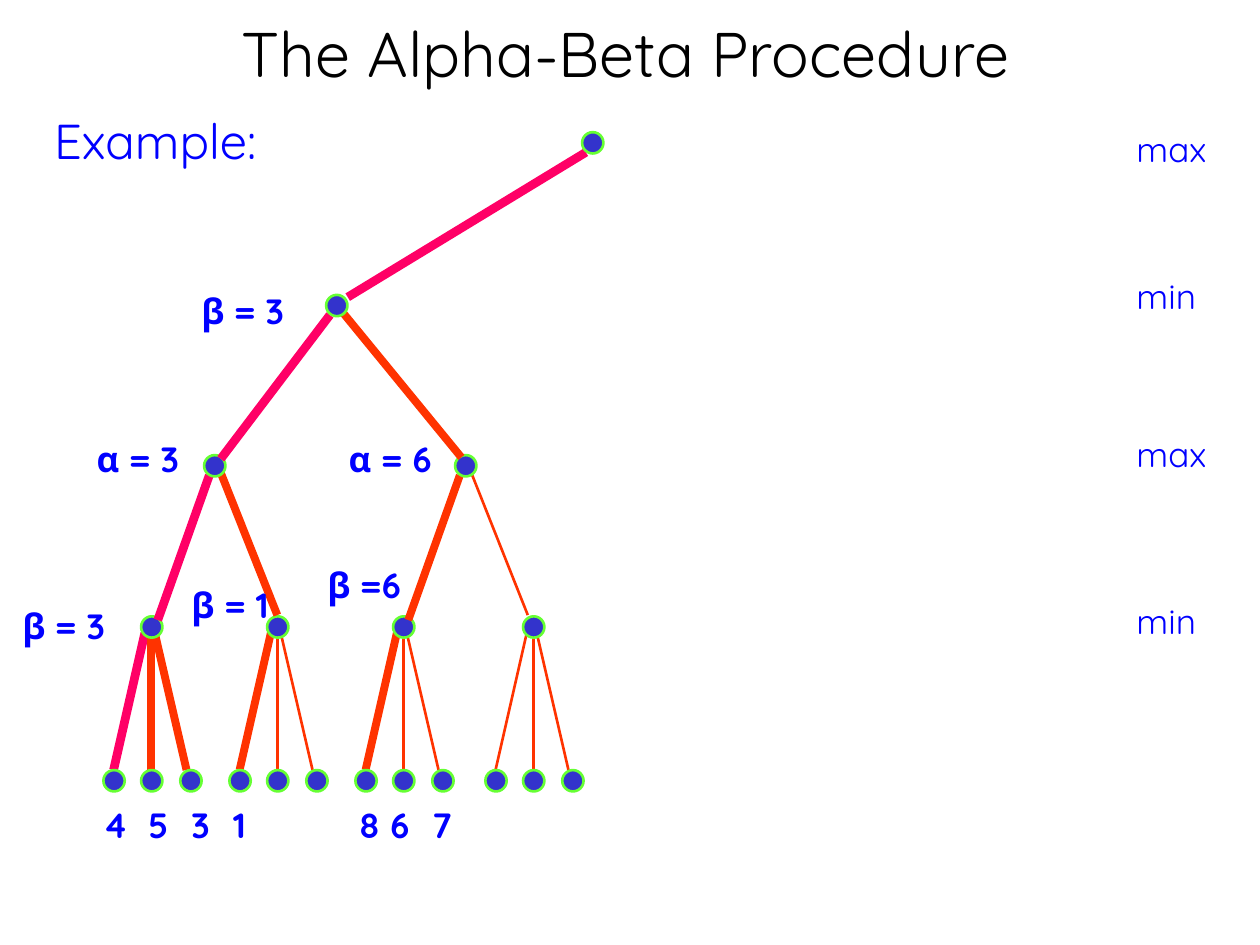
from pptx import Presentation
from pptx.dml.color import RGBColor as RGB
from pptx.enum.shapes import MSO_CONNECTOR as LINK, MSO_SHAPE as SHAPE
from pptx.enum.text import MSO_ANCHOR as ANCHOR, MSO_AUTO_SIZE as FIT, PP_ALIGN as ALIGN
from pptx.oxml.xmlchemy import OxmlElement
from pptx.util import Cm, Pt
from dataclasses import dataclass


@dataclass(frozen=True)
class Theme:
    font: str = "Quicksand"
    title: RGB = RGB(0x00, 0x00, 0x00)
    label: RGB = RGB(0x00, 0x00, 0xFF)
    node: RGB = RGB(0x33, 0x33, 0xCC)
    ring: RGB = RGB(0x66, 0xFF, 0x33)
    best: RGB = RGB(0xFF, 0x00, 0x66)
    other: RGB = RGB(0xFF, 0x33, 0x00)
    title_size: int = 36
    heading_size: int = 28
    label_size: int = 20


theme = Theme()
EDGE_STYLES = {
    "best": (theme.best, 5),
    "visited": (theme.other, 4.5),
    "pruned": (theme.other, 1.5),
}

TITLE = "The Alpha-Beta Procedure"
HEADING = "Example:"
LEVELS = [("max", 2.44), ("min", 5.41), ("max", 8.59), ("min", 11.96)]
BOUNDS = [
    ("β = 3", 3.81, 5.72), ("α = 3", 1.7, 8.69), ("α = 6", 6.78, 8.69),
    ("β = 3", 0.2, 12.07), ("β = 1", 3.61, 11.63), ("β =6", 6.35, 11.23),
]
LEAF_VALUES = [
    ("4", 1.83), ("5", 2.74), ("3", 3.61), ("1", 4.45),
    ("8", 6.99), ("6", 7.62), ("7", 8.46),
]
FAMILIES = [
    (3.06, ("best", "visited", "visited")),
    (5.6, ("visited", "pruned", "pruned")),
    (8.14, ("visited", "pruned", "pruned")),
    (10.76, ("pruned", "pruned", "pruned")),
]
UPPER_NODES = [
    ((4.33, 9.39), [("best", 3.18, 12.5, 4.22, 9.58),
                    ("visited", 5.59, 12.4, 4.45, 9.53)]),
    ((9.39, 9.39), [("visited", 8.23, 12.5, 9.27, 9.58),
                    ("pruned", 10.64, 12.4, 9.5, 9.53)]),
    ((6.79, 6.16), [("best", 4.45, 9.25, 6.65, 6.35),
                    ("visited", 9.3, 9.22, 6.91, 6.3)]),
    ((11.95, 2.88), [("best", 7.01, 5.99, 11.81, 3.07)]),
]

NODE_SIZE = 0.43
FAMILY_Y, LEAF_Y = 12.64, 15.74
LEAF_OFFSETS = (-0.76, 0, 0.79)
EDGE_OFFSETS = ((-0.77, -0.14), (-0.01, -0.01), (0.7, 0.06))
EDGE_BOTTOM, EDGE_TOP = 15.52, 12.76
LEVEL_X, VALUE_Y, LABEL_HEIGHT = 22.66, 16.08, 1.09

deck = Presentation()
deck.slide_width, deck.slide_height = Cm(25.4), Cm(19.05)
slide = deck.slides.add_slide(deck.slide_layouts[6])


def add_node(x, y):
    node = slide.shapes.add_shape(
        SHAPE.OVAL, Cm(x - NODE_SIZE / 2), Cm(y - NODE_SIZE / 2), Cm(NODE_SIZE), Cm(NODE_SIZE))
    node.shadow.inherit = False
    node.fill.solid()
    node.fill.fore_color.rgb = theme.node
    node.line.color.rgb = theme.ring
    node.line.width = Pt(1.5)


def add_edge(style, *ends):
    edge = slide.shapes.add_connector(LINK.STRAIGHT, *map(Cm, ends))
    color, width = EDGE_STYLES[style]
    edge.line.color.rgb = color
    edge.line.width = Pt(width)
    edge._element.spPr.append(OxmlElement("a:effectLst"))


def add_label(text, x, y, width, height=LABEL_HEIGHT, size=theme.label_size,
              color=theme.label, bold=False, align=ALIGN.LEFT, anchor=ANCHOR.TOP,
              fit=FIT.SHAPE_TO_FIT_TEXT):
    frame = slide.shapes.add_textbox(Cm(x), Cm(y), Cm(width), Cm(height)).text_frame
    frame.word_wrap = True
    frame.auto_size = fit
    frame.vertical_anchor = anchor
    paragraph = frame.paragraphs[0]
    paragraph.alignment = align
    run = paragraph.add_run()
    run.text = text
    run.font.name = theme.font
    run.font.size = Pt(size)
    run.font.bold = bold
    run.font.color.rgb = color


add_label(TITLE, 0.64, 0, 23.93, 2.11, theme.title_size, theme.title,
          align=ALIGN.CENTER, anchor=ANCHOR.MIDDLE, fit=FIT.NONE)
add_label(HEADING, 0.84, 2.11, 5.72, 1.45, theme.heading_size)

for family_x, styles in FAMILIES:
    for style, (bottom, top) in zip(styles, EDGE_OFFSETS):
        add_edge(style, family_x + bottom, EDGE_BOTTOM, family_x + top, EDGE_TOP)
    for offset in LEAF_OFFSETS:
        add_node(family_x + offset, LEAF_Y)
    add_node(family_x, FAMILY_Y)

for center, edges in UPPER_NODES:
    for edge in edges:
        add_edge(*edge)
    add_node(*center)

for player, y in LEVELS:
    add_label(player, LEVEL_X, y, 2.31)
for bound, x, y in BOUNDS:
    add_label(bound, x, y, 2.54, bold=True)
for value, x in LEAF_VALUES:
    add_label(value, x, VALUE_Y, 1.07, bold=True)

deck.save("out.pptx")
